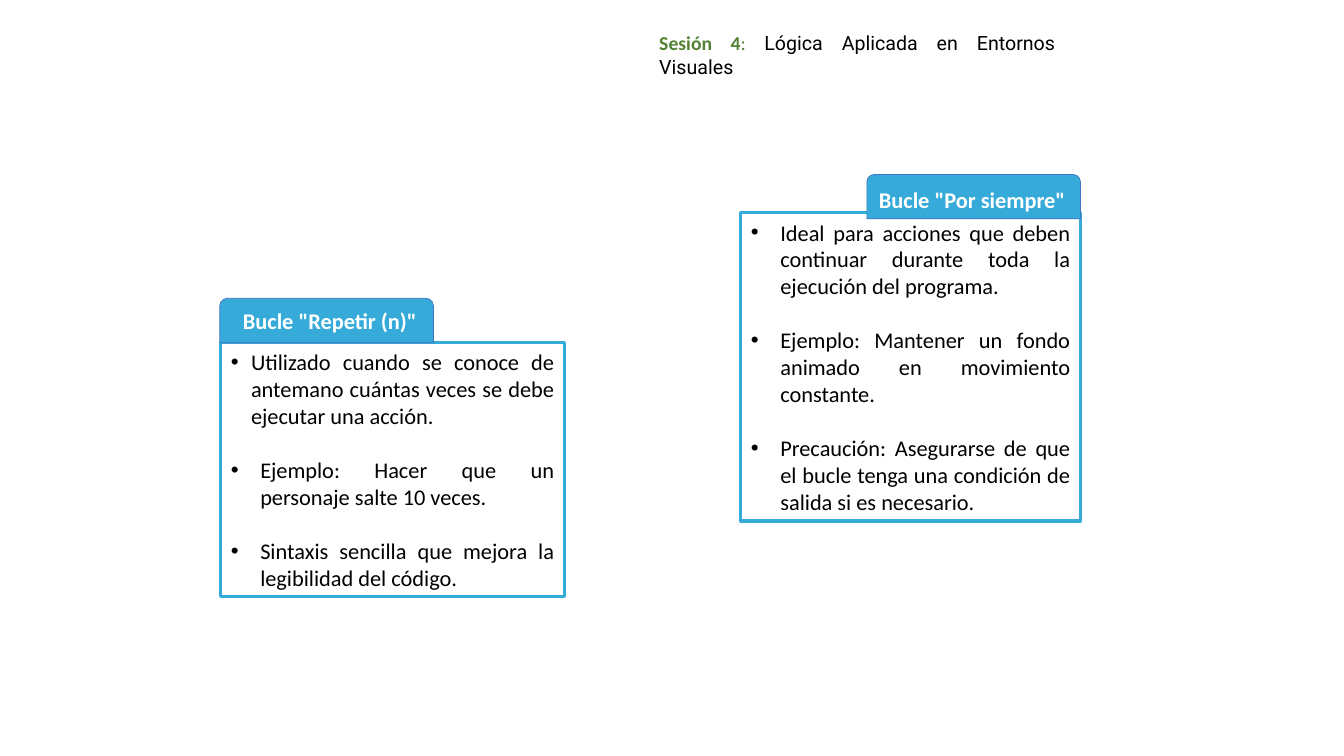
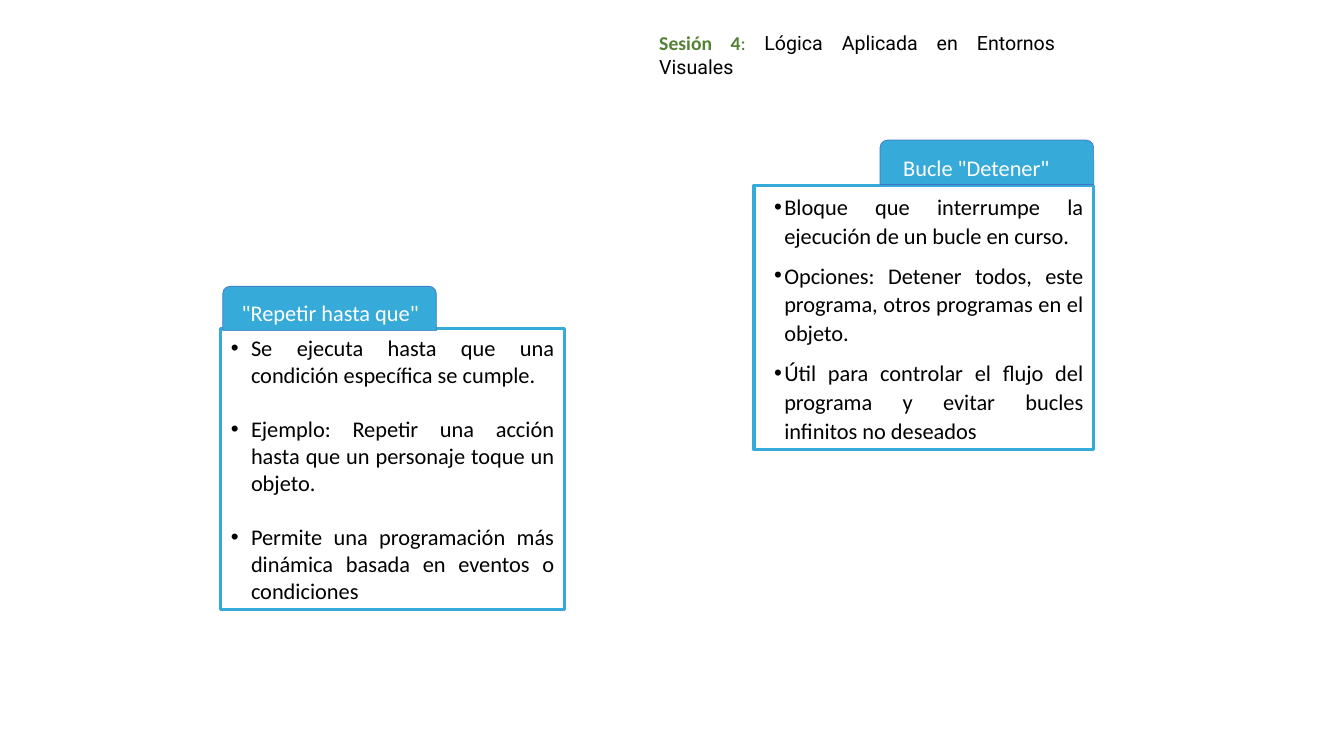
from pptx import Presentation
from pptx.dml.color import RGBColor
from pptx.enum import shapes, text
from pptx.util import Pt

HUES = {"sky": "36ABD9", "edge": "4472C4", "green": "548235",
        "ink": "000000", "white": "FFFFFF"}
FONT = "Calibri"
TAB = (152.6, 31.7)
LINE = 19.5


def hue(name):
    return RGBColor.from_string(HUES[name])


def style(run, size, color, bold=False, font=FONT):
    run.font.size = Pt(size)
    run.font.name = font
    run.font.bold = bold
    run.font.color.rgb = hue(color)


def place(shape, left, top, width, height):
    shape.left, shape.top = Pt(left), Pt(top)
    shape.width, shape.height = Pt(width), Pt(height)


def setup(frame, anchor):
    frame.word_wrap = True
    frame.auto_size = text.MSO_AUTO_SIZE.NONE
    frame.vertical_anchor = anchor


def header(slide):
    title = slide.shapes.title
    place(title, 463.7, 18.7, 344.9, 24.5)
    frame = title.text_frame
    setup(frame, text.MSO_ANCHOR.TOP)
    frame.margin_right = Pt(54.7)
    para = frame.paragraphs[0]
    para.alignment = text.PP_ALIGN.JUSTIFY
    for words, color, bold, font in (
            ("Sesión 4", "green", True, FONT),
            (": ", "green", False, FONT),
            ("Lógica Aplicada en Entornos Visuales", "ink", False, "Roboto")):
        run = para.add_run()
        run.text = words
        style(run, 14, color, bold, font)


def panel(body, box, items, dents, gap=LINE, pitch=1.0):
    place(body, *box)
    body.line.color.rgb = hue("sky")
    body.line.width = Pt(2.25)
    frame = body.text_frame
    setup(frame, text.MSO_ANCHOR.MIDDLE)
    frame.text = "\n".join(items)
    for i, (para, (left, hang)) in enumerate(zip(frame.paragraphs, dents)):
        para.alignment = text.PP_ALIGN.JUSTIFY
        para.line_spacing = pitch
        para.space_before = Pt(gap if i else 0)
        props = para._p.get_or_add_pPr()
        props.set("marL", str(Pt(left)))
        props.set("indent", str(-Pt(hang)))
        style(para.runs[0], 16, "ink")


def label(slide, spot, words, inset, bold):
    tab = slide.shapes.add_shape(
        shapes.MSO_SHAPE.ROUND_2_SAME_RECTANGLE, 0, 0, 0, 0)
    place(tab, *spot, *TAB)
    tab.shadow.inherit = False
    tab.fill.solid()
    tab.fill.fore_color.rgb = hue("sky")
    tab.line.color.rgb = hue("edge")
    tab.line.width = Pt(0.5)
    frame = tab.text_frame
    setup(frame, text.MSO_ANCHOR.TOP)
    frame.margin_left, frame.margin_top = Pt(inset[0]), Pt(inset[1])
    frame.margin_right = frame.margin_bottom = 0
    frame.text = words
    para = frame.paragraphs[0]
    para.alignment = text.PP_ALIGN.LEFT
    style(para.runs[0], 16, "white", bold)


def loops(deck):
    slide = deck.slides.add_slide(deck.slide_layouts[3])
    header(slide)
    wide = (21, 21)
    panel(slide.placeholders[1], (157.7, 244.8, 245.5, 181.4), [
        "Utilizado cuando se conoce de antemano cuántas veces se debe ejecutar una acción.",
        "Ejemplo: Hacer que un personaje salte 10 veces.",
        "Sintaxis sencilla que mejora la legibilidad del código.",
    ], [(14.4, 14.4), wide, wide])
    label(slide, (157, 213.1), 'Bucle "Repetir (n)"', (15, 5), True)
    panel(slide.placeholders[2], (529.2, 151.9, 242.6, 220.3), [
        "Ideal para acciones que deben continuar durante toda la ejecución del programa.",
        "Ejemplo: Mantener un fondo animado en movimiento constante.",
        "Precaución: Asegurarse de que el bucle tenga una condición de salida si es necesario.",
    ], [wide] * 3)
    label(slide, (619.2, 124.6), 'Bucle "Por siempre"', (7.2, 6.5), True)


def stops(deck):
    slide = deck.slides.add_slide(deck.slide_layouts[3])
    header(slide)
    panel(slide.placeholders[1], (157.7, 234.7, 245.5, 200.9), [
        "Se ejecuta hasta que una condición específica se cumple.",
        "Ejemplo: Repetir una acción hasta que un personaje toque un objeto.",
        "Permite una programación más dinámica basada en eventos o condiciones",
    ], [(14.4, 14.4)] * 3)
    label(slide, (159.1, 204.5), '"Repetir hasta que"', (12, 8), False)
    panel(slide.placeholders[2], (538.6, 132.5, 242.6, 188.6), [
        "Bloque que interrumpe la ejecución de un bucle en curso.",
        "Opciones: Detener todos, este programa, otros programas en el objeto.",
        "Útil para controlar el flujo del programa y evitar bucles infinitos no deseados",
    ], [(14.4, 7.2)] * 3, gap=8, pitch=1.07)
    label(slide, (628.6, 100.1), 'Bucle "Detener"', (15, 8.6), False)


def main():
    deck = Presentation()
    deck.slide_width, deck.slide_height = Pt(960), Pt(540)
    loops(deck)
    stops(deck)
    deck.save("out.pptx")


if __name__ == "__main__":
    main()
